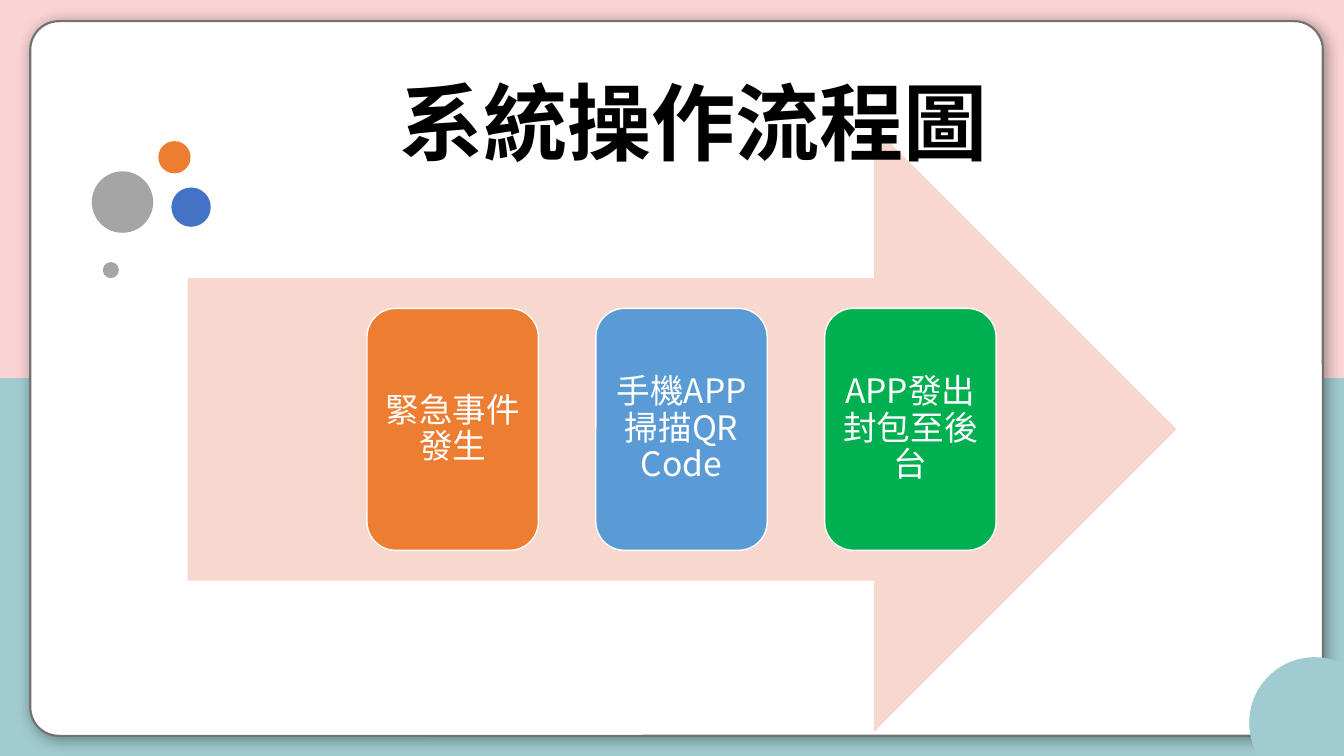
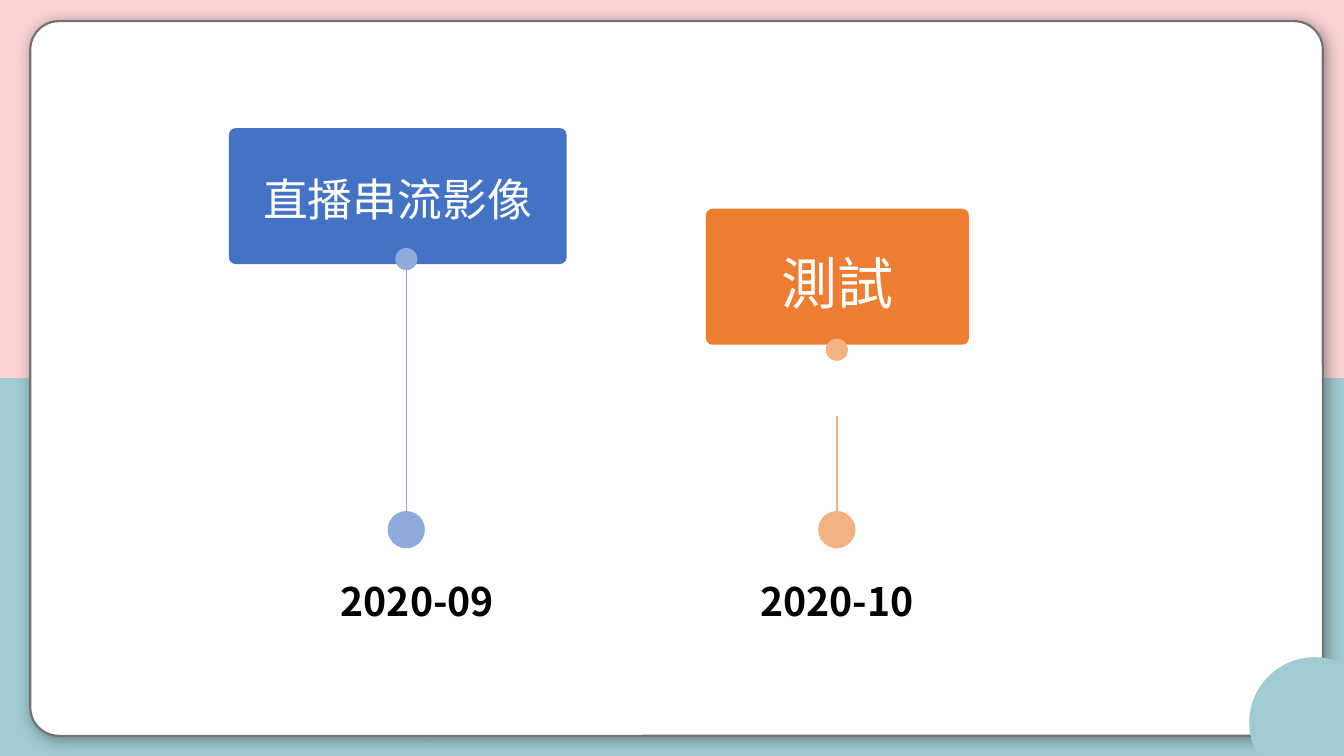
"""Build a flow slide and a timeline slide on a shared framed backdrop."""
from dataclasses import dataclass

from lxml.etree import SubElement
from pptx import Presentation
from pptx.dml.color import RGBColor
from pptx.enum.shapes import MSO_CONNECTOR, MSO_SHAPE
from pptx.enum.text import MSO_ANCHOR, MSO_AUTO_SIZE, PP_ALIGN
from pptx.oxml.ns import qn
from pptx.oxml.xmlchemy import BaseOxmlElement
from pptx.presentation import Presentation as Deck
from pptx.shapes.autoshape import Shape
from pptx.shapes.base import BaseShape
from pptx.slide import Slide
from pptx.util import Inches, Pt

FONT = "Noto Sans CJK SC"
WHITE = RGBColor(0xFF, 0xFF, 0xFF)
BLACK = RGBColor(0x00, 0x00, 0x00)
PINK = RGBColor(0xFA, 0xD3, 0xD4)
TEAL = RGBColor(0xA0, 0xCB, 0xD0)
FRAME = RGBColor(0x72, 0x72, 0x72)
GREY = RGBColor(0xA5, 0xA5, 0xA5)
BLUE = RGBColor(0x44, 0x72, 0xC4)
SKY = RGBColor(0x5B, 0x9B, 0xD5)
PALE_BLUE = RGBColor(0x8F, 0xAA, 0xDC)
ORANGE = RGBColor(0xED, 0x7D, 0x31)
PALE_ORANGE = RGBColor(0xF4, 0xB1, 0x83)
PEACH = RGBColor(0xF8, 0xD7, 0xCE)
GREEN = RGBColor(0x00, 0xB0, 0x50)

SLIDE_WIDTH, SLIDE_HEIGHT = 13.33, 7.5
BAND_HEIGHT = SLIDE_HEIGHT / 2
STEP_LEFT, STEP_PITCH = 3.64, 2.27
DOT_TOP, DOT_SIZE, PIN_SIZE = 5.07, 0.37, 0.22
DATE_WIDTH = 1.83


@dataclass(frozen=True)
class Box:
    """Position and size in inches."""

    left: float
    top: float
    width: float
    height: float


@dataclass(frozen=True)
class Bubble:
    """A decorative circle."""

    left: float
    top: float
    size: float
    color: RGBColor


@dataclass(frozen=True)
class Step:
    """One step of the operation flow."""

    label: str
    color: RGBColor


@dataclass(frozen=True)
class Milestone:
    """One dated card of the timeline."""

    label: str
    label_size: int
    card: Box
    color: RGBColor
    accent: RGBColor
    center: float
    pin_top: float
    stem_end: float
    date: str
    date_center: float


BUBBLES = (
    Bubble(1.7, 1.86, 0.39, BLUE),
    Bubble(1.57, 1.4, 0.32, ORANGE),
    Bubble(1.02, 2.6, 0.16, GREY),
    Bubble(0.91, 1.7, 0.61, GREY),
)
STEPS = (
    Step("緊急事件發生", ORANGE),
    Step("手機APP掃描QR Code", SKY),
    Step("APP發出封包至後台", GREEN),
)
MILESTONES = (
    Milestone("直播串流影像", 32, Box(2.27, 1.27, 3.35, 1.35), BLUE, PALE_BLUE,
              4.03, 2.46, 2.51, "2020-09", 4.14),
    Milestone("測試", 40, Box(7, 2.07, 2.61, 1.35), ORANGE, PALE_ORANGE,
              8.3, 3.36, 4.13, "2020-10", 8.3),
)


def add_figure(slide: Slide, kind: MSO_SHAPE, box: Box, color: RGBColor) -> Shape:
    """Add a flat filled shape without an outline."""
    figure = slide.shapes.add_shape(
        kind, Inches(box.left), Inches(box.top), Inches(box.width), Inches(box.height))
    figure.shadow.inherit = False
    figure.fill.solid()
    figure.fill.fore_color.rgb = color
    figure.line.fill.background()
    return figure


def add_circle(slide: Slide, left: float, top: float, size: float, color: RGBColor) -> Shape:
    """Add a filled circle."""
    return add_figure(slide, MSO_SHAPE.OVAL, Box(left, top, size, size), color)


def outline(figure: Shape, color: RGBColor, width: float) -> None:
    """Give a shape a solid outline."""
    figure.line.color.rgb = color
    figure.line.width = Pt(width)


def write(holder: BaseShape, text: str, size: int, color: RGBColor, bold: bool = False,
          align: PP_ALIGN = PP_ALIGN.CENTER, spacing: float = 0.9) -> None:
    """Write one styled paragraph into a shape."""
    paragraph = holder.text_frame.paragraphs[0]
    paragraph.text = text
    paragraph.alignment = align
    paragraph.line_spacing = spacing
    paragraph.font.size = Pt(size)
    paragraph.font.bold = bold
    paragraph.font.color.rgb = color
    paragraph.font.name = FONT
    for properties in holder.element.iter(qn("a:defRPr")):
        SubElement(properties, qn("a:ea")).set("typeface", FONT)


def cast_shadow(spPr: BaseOxmlElement) -> None:
    """Fill the effect list with a soft diagonal shadow."""
    shadow = SubElement(spPr.find(qn("a:effectLst")), qn("a:outerShdw"))
    settings = {"blurRad": Pt(11), "dist": Pt(3), "dir": 45 * 60000, "algn": "tl",
                "rotWithShape": 0}
    for key, value in settings.items():
        shadow.set(key, str(value))
    shade = SubElement(shadow, qn("a:srgbClr"))
    shade.set("val", str(BLACK))
    SubElement(shade, qn("a:alpha")).set("val", "40000")


def build_backdrop(deck: Deck, slide: Slide) -> None:
    """Draw the shared bands, panel and corner, then move them to the master."""
    lower = add_figure(slide, MSO_SHAPE.RECTANGLE,
                       Box(0, BAND_HEIGHT, SLIDE_WIDTH, BAND_HEIGHT), TEAL)
    upper = add_figure(slide, MSO_SHAPE.RECTANGLE, Box(0, 0, SLIDE_WIDTH, BAND_HEIGHT), PINK)
    panel = add_figure(slide, MSO_SHAPE.ROUNDED_RECTANGLE, Box(0.3, 0.21, 12.82, 7.09), WHITE)
    panel.adjustments[0] = 0.04
    outline(panel, FRAME, 1.52)
    cast_shadow(panel.element.spPr)
    corner = add_circle(slide, 12.39, 6.52, 1.3, TEAL)
    master_tree = deck.slide_master.shapes.element
    for index, part in enumerate((lower, upper, panel, corner)):
        part.element.nvSpPr.cNvPr.set("id", str(100 + index))
        master_tree.insert(2 + index, part.element)


def add_step(slide: Slide, index: int, step: Step) -> None:
    """Add one card of the flow."""
    card = add_figure(slide, MSO_SHAPE.ROUNDED_RECTANGLE,
                      Box(STEP_LEFT + index * STEP_PITCH, 3.06, 1.7, 2.4), step.color)
    outline(card, WHITE, 1)
    card.text_frame.vertical_anchor = MSO_ANCHOR.MIDDLE
    card.text_frame.margin_top = card.text_frame.margin_bottom = Inches(0.1)
    write(card, step.label, 24, WHITE)


def build_flow(slide: Slide) -> None:
    """Build the operation flow slide."""
    for bubble in BUBBLES:
        add_circle(slide, bubble.left, bubble.top, bubble.size, bubble.color)
    add_figure(slide, MSO_SHAPE.RIGHT_ARROW, Box(1.86, 1.26, 9.81, 6), PEACH)
    for index, step in enumerate(STEPS):
        add_step(slide, index, step)
    title = slide.shapes.title
    title.left, title.top = Inches(3.86), Inches(0.76)
    title.width, title.height = Inches(6.84), Inches(1.55)
    title.text_frame.vertical_anchor = MSO_ANCHOR.TOP
    title.text_frame.auto_size = MSO_AUTO_SIZE.NONE
    write(title, "系統操作流程圖", 60, BLACK, bold=True, align=PP_ALIGN.LEFT)
    slide.shapes.element.append(title.element)


def add_milestone(slide: Slide, milestone: Milestone) -> None:
    """Add a card with its stem, dots and date."""
    center = milestone.center
    dot = add_circle(slide, center - DOT_SIZE / 2, DOT_TOP, DOT_SIZE, milestone.accent)
    stem = slide.shapes.add_connector(
        MSO_CONNECTOR.STRAIGHT, Inches(center), Inches(DOT_TOP),
        Inches(center), Inches(milestone.stem_end))
    stem.begin_connect(dot, 0)
    stem.line.color.rgb = milestone.accent
    stem.line.width = Pt(1)
    SubElement(stem.element.spPr, qn("a:effectLst"))

    card = add_figure(slide, MSO_SHAPE.ROUNDED_RECTANGLE, milestone.card, milestone.color)
    card.adjustments[0] = 0.05
    card.text_frame.vertical_anchor = MSO_ANCHOR.MIDDLE
    card.text_frame.margin_top, card.text_frame.margin_bottom = 0, Inches(0.1)
    write(card, milestone.label, milestone.label_size, WHITE, spacing=1.3)
    add_circle(slide, center - PIN_SIZE / 2, milestone.pin_top, PIN_SIZE, milestone.accent)

    date = slide.shapes.add_textbox(
        Inches(milestone.date_center - DATE_WIDTH / 2), Inches(5.54),
        Inches(DATE_WIDTH), Inches(0.65))
    date.text_frame.word_wrap = False
    date.text_frame.auto_size = MSO_AUTO_SIZE.SHAPE_TO_FIT_TEXT
    write(date, milestone.date, 28, BLACK, bold=True, spacing=1.3)


def main() -> None:
    """Assemble and save the deck."""
    deck = Presentation()
    deck.slide_width, deck.slide_height = Inches(SLIDE_WIDTH), Inches(SLIDE_HEIGHT)
    flow = deck.slides.add_slide(deck.slide_layouts.get_by_name("Title Only"))
    build_backdrop(deck, flow)
    build_flow(flow)
    timeline = deck.slides.add_slide(deck.slide_layouts.get_by_name("Blank"))
    for milestone in MILESTONES:
        add_milestone(timeline, milestone)
    deck.save("out.pptx")


if __name__ == "__main__":
    main()
